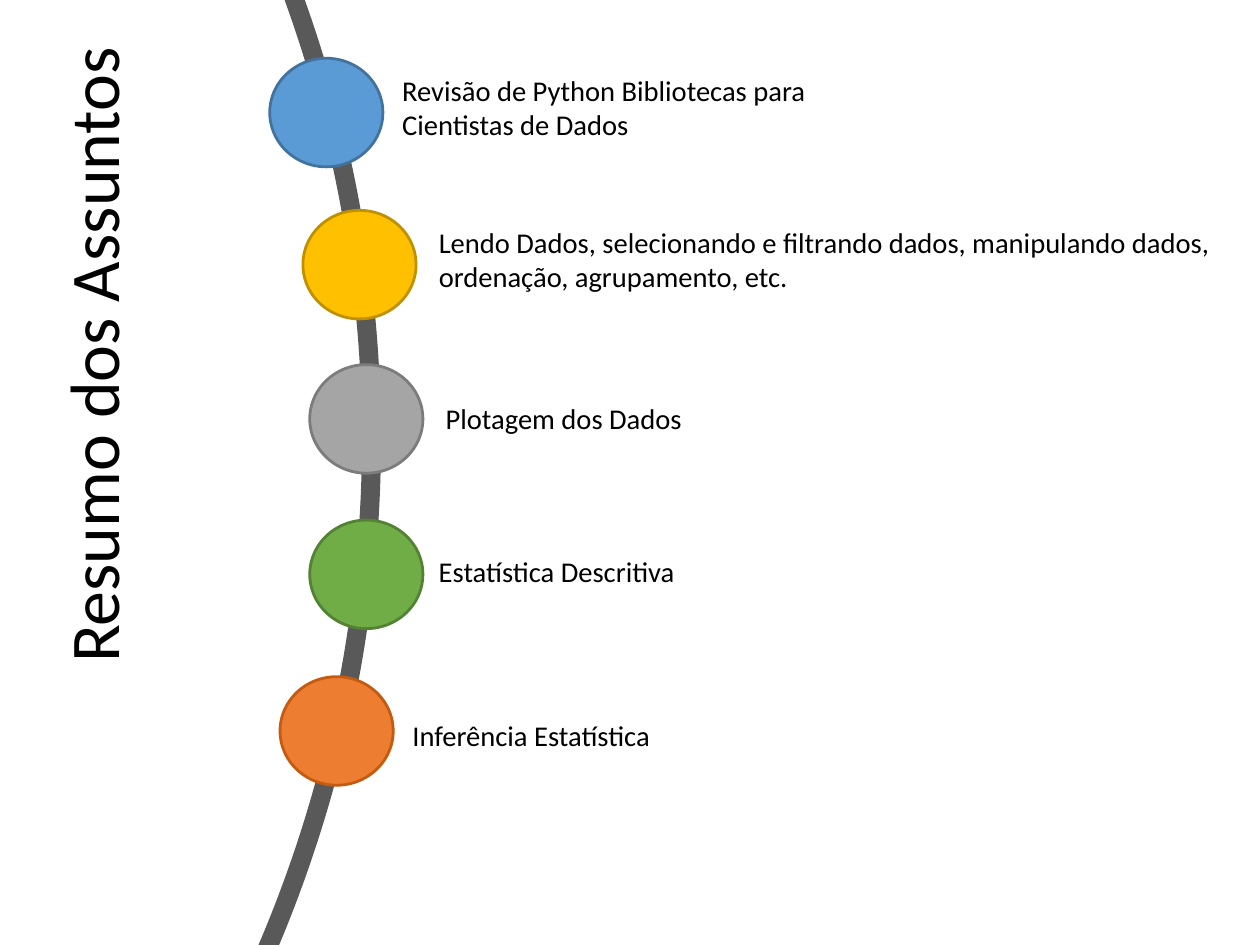
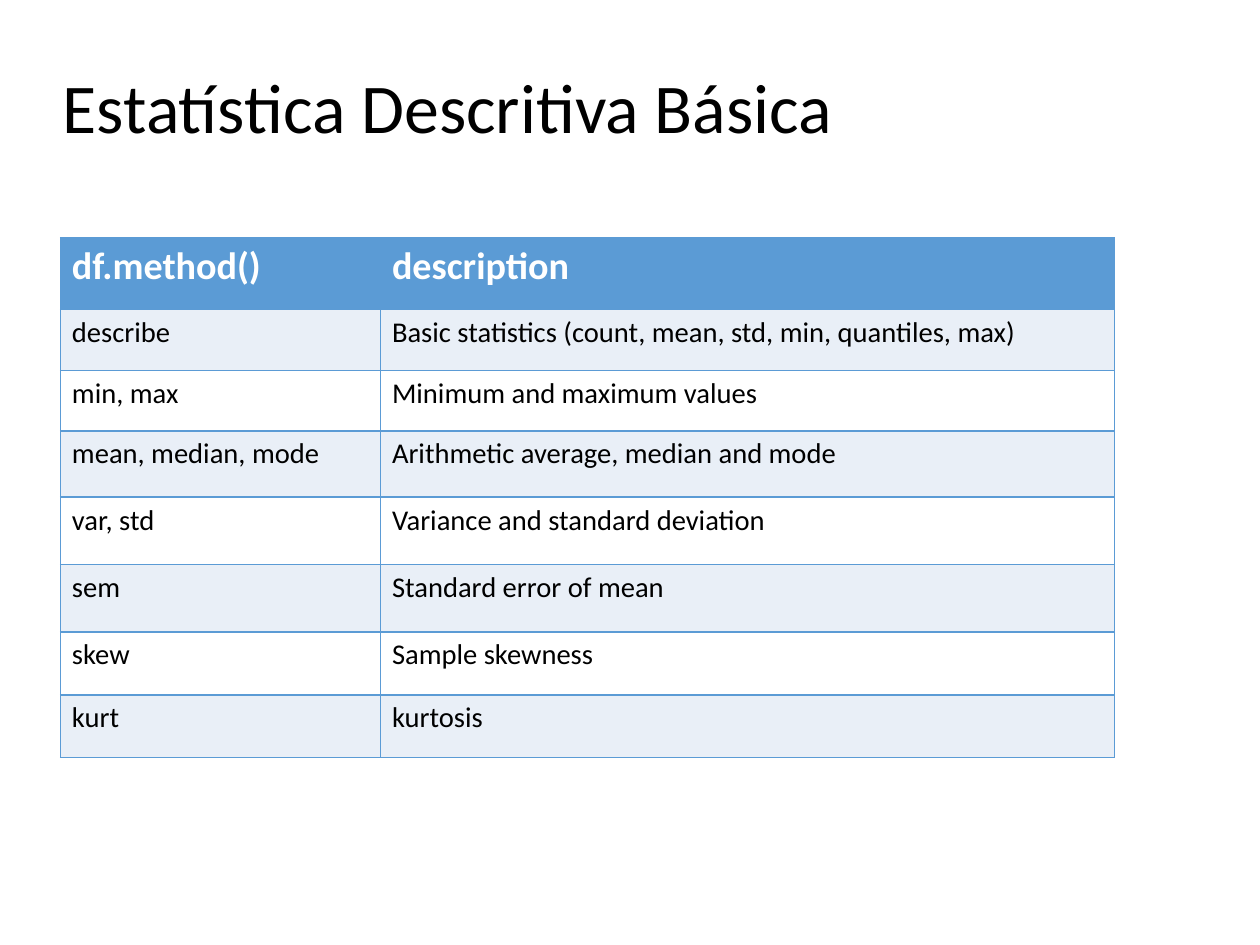
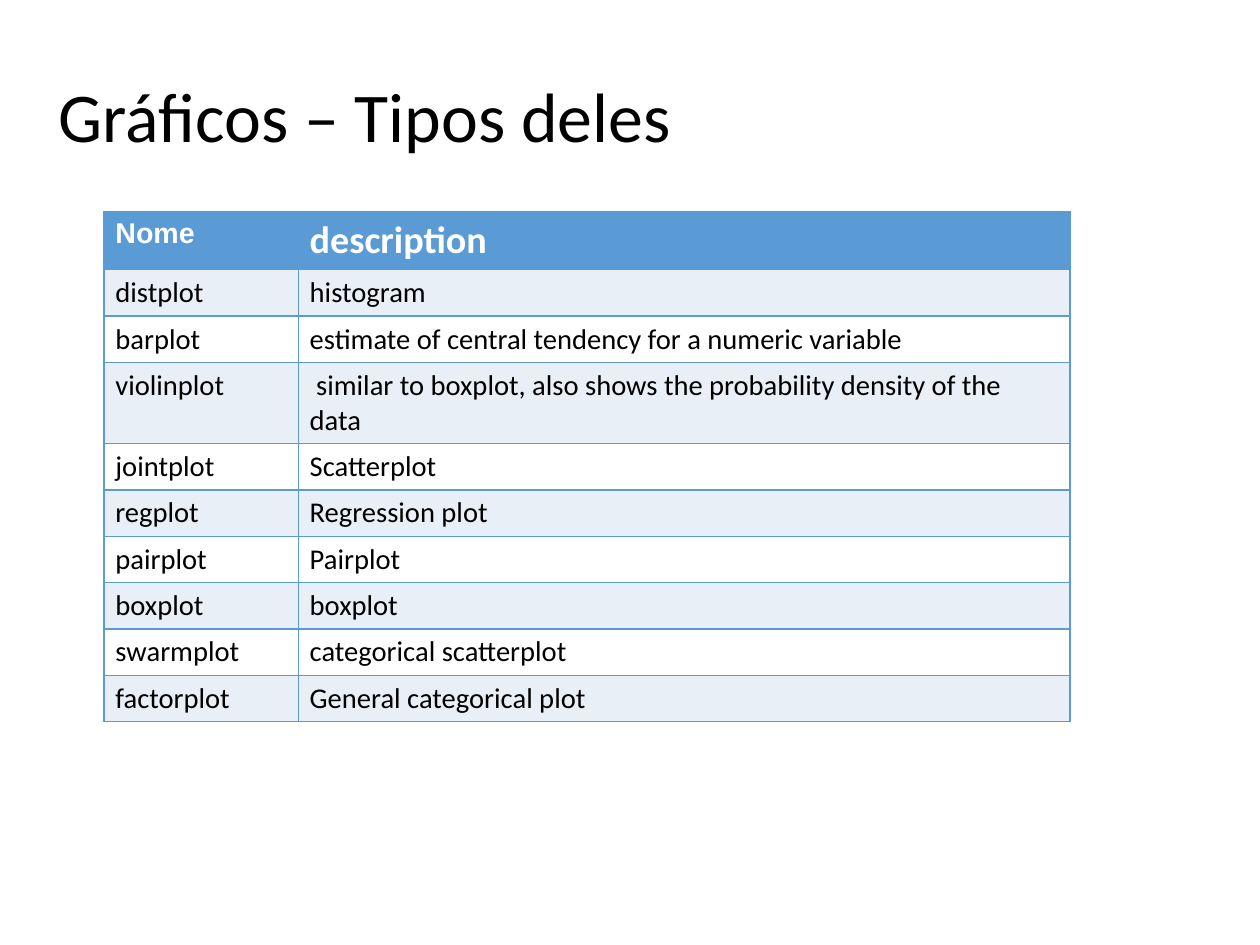
from lxml.etree import SubElement
from pptx import Presentation
from pptx.dml.color import RGBColor as RGB
from pptx.enum.shapes import MSO_SHAPE as SHAPE
from pptx.enum.text import MSO_ANCHOR as ANCHOR, MSO_AUTO_SIZE as AUTO, PP_ALIGN as ALIGN
from pptx.oxml.ns import qn
from pptx.util import Cm, Inches, Pt

BLACK, WHITE = RGB(0, 0, 0), RGB(255, 255, 255)
BLUE, BAND = RGB(0x5B, 0x9B, 0xD5), RGB(0xE9, 0xEF, 0xF7)
DARK_BLUE, RING = RGB(0x43, 0x72, 0x9D), RGB(0x59, 0x59, 0x59)
GOLD, DARK_GOLD = RGB(0xFF, 0xC0, 0x00), RGB(0xBF, 0x90, 0x00)
GRAY, DARK_GRAY = RGB(0xA5, 0xA5, 0xA5), RGB(0x7C, 0x7C, 0x7C)
GREEN, DARK_GREEN = RGB(0x70, 0xAD, 0x47), RGB(0x54, 0x82, 0x35)
ORANGE, DARK_ORANGE = RGB(0xED, 0x7D, 0x31), RGB(0xC5, 0x5A, 0x11)
FONT = "Calibri"

DOT_SIZE = (0.99, 0.95)
TOPICS = [
    ("Revisão de Python Bibliotecas para Cientistas de Dados",
     (2.36, 0.51), BLUE, DARK_BLUE, (3.42, 0.59, 4.59, 0.7)),
    ("Lendo Dados, selecionando e filtrando dados, manipulando dados, ordenação, agrupamento, etc.",
     (2.65, 1.84), GOLD, DARK_GOLD, (3.74, 1.92, 7.69, 0.7)),
    ("Plotagem dos Dados",
     (2.71, 3.19), GRAY, DARK_GRAY, (3.8, 3.46, 5.77, 0.4)),
    ("Estatística Descritiva",
     (2.71, 4.55), GREEN, DARK_GREEN, (3.74, 4.8, 5.77, 0.4)),
    ("Inferência Estatística",
     (2.45, 5.92), ORANGE, DARK_ORANGE, (3.51, 6.23, 5.77, 0.4)),
]

TABLE_SLIDES = [
    {
        "title": "Estatística Descritiva Básica",
        "title_box": (0.55, 0.64, 7.8, 1.5),
        "origin": (0.53, 2.08),
        "cols": [2.8, 6.42],
        "heights": [0.63, 0.53, 0.53, 0.58, 0.59, 0.59, 0.55, 0.55],
        "header": [("df.method()", 24, FONT), ("description", 24, FONT)],
        "rows": [
            ("describe", "Basic statistics (count, mean, std, min, quantiles, max)"),
            ("min, max", "Minimum and maximum values"),
            ("mean, median, mode", "Arithmetic average, median and mode"),
            ("var, std", "Variance and standard deviation"),
            ("sem", "Standard error of mean"),
            ("skew", "Sample skewness"),
            ("kurt", "kurtosis"),
        ],
    },
    {
        "title": "Gráficos – Tipos deles",
        "title_box": (0.51, 0.72, 8.19, 0.75),
        "origin": (0.91, 1.85),
        "cols": [1.7, 6.75],
        "heights": [0.51, 0.4, 0.4, 0.71] + [0.4] * 6,
        "header": [("Nome", 18, "Arial"), ("description", 24, FONT)],
        "rows": [
            ("distplot", "histogram"),
            ("barplot", "estimate of central tendency for a numeric variable"),
            ("violinplot", " similar to boxplot, also shows the probability density of the data"),
            ("jointplot", "Scatterplot"),
            ("regplot", "Regression plot"),
            ("pairplot", "Pairplot"),
            ("boxplot", "boxplot"),
            ("swarmplot", "categorical scatterplot"),
            ("factorplot", "General categorical plot"),
        ],
    },
]


def inches(values):
    return [Inches(v) for v in values]


def write(tf, text, size=18, color=BLACK, bold=False, font=FONT):
    p = tf.paragraphs[0]
    p.alignment = ALIGN.LEFT
    r = p.add_run()
    r.text = text
    r.font.size, r.font.name, r.font.bold = Pt(size), font, bold
    r.font.color.rgb = color
    return p


def add_titled_slide(prs, text, box, anchor=ANCHOR.TOP, margins=(0, 0), rotation=0):
    s = prs.slides.add_slide(prs.slide_layouts[5])
    title = s.shapes.title
    title.left, title.top, title.width, title.height = inches(box)
    title.rotation = rotation
    tf = title.text_frame
    tf.auto_size, tf.word_wrap, tf.vertical_anchor = AUTO.NONE, True, anchor
    tf.margin_left = tf.margin_right = Inches(margins[0])
    tf.margin_top = tf.margin_bottom = Inches(margins[1])
    write(tf, text, 44).line_spacing = 0.9
    return s


def add_circle(s, box, line, width, fill=None):
    sp = s.shapes.add_shape(SHAPE.OVAL, *inches(box))
    sp.shadow.inherit = False
    if fill is None:
        sp.fill.background()
    else:
        sp.fill.solid()
        sp.fill.fore_color.rgb = fill
    sp.line.color.rgb, sp.line.width = line, Pt(width)


def add_borders(cell):
    tc_pr = cell._tc.get_or_add_tcPr()
    for side in ("a:lnL", "a:lnR", "a:lnT", "a:lnB"):
        ln = SubElement(tc_pr, qn(side), w=str(Pt(0.96)))
        SubElement(SubElement(ln, qn("a:solidFill")), qn("a:srgbClr"), val=str(BLUE))


def fill_cell(cell, fill, text, **style):
    add_borders(cell)
    cell.fill.solid()
    cell.fill.fore_color.rgb = fill
    write(cell.text_frame, text, **style)


def add_topics_slide(prs):
    s = add_titled_slide(prs, "Resumo dos Assuntos", (-2.2, 2.13, 6.09, 1.45),
                         ANCHOR.MIDDLE, (0.1, 0.05), 270)
    add_circle(s, (-19.42, -7.49, 22.67, 22.67), RING, 12)
    for text, dot_origin, fill, line, label_box in TOPICS:
        add_circle(s, dot_origin + DOT_SIZE, line, 1.75, fill)
        tf = s.shapes.add_textbox(*inches(label_box)).text_frame
        tf.word_wrap = True
        write(tf, text)


def add_table_slide(prs, data):
    s = add_titled_slide(prs, data["title"], data["title_box"])
    cols, heights = data["cols"], data["heights"]
    size = (sum(cols), sum(heights))
    table = s.shapes.add_table(len(heights), len(cols), *inches(data["origin"] + size)).table
    for col, width in zip(table.columns, cols):
        col.width = Inches(width)
    for row, height in zip(table.rows, heights):
        row.height = Inches(height)
    for c, (text, pts, font) in enumerate(data["header"]):
        fill_cell(table.cell(0, c), BLUE, text, size=pts, color=WHITE, bold=True, font=font)
    for r, texts in enumerate(data["rows"], 1):
        for c, text in enumerate(texts):
            fill_cell(table.cell(r, c), BAND if r % 2 else WHITE, text)


def main():
    prs = Presentation()
    prs.slide_width, prs.slide_height = Cm(28), Cm(21)
    add_topics_slide(prs)
    for data in TABLE_SLIDES:
        add_table_slide(prs, data)
    prs.save("out.pptx")


if __name__ == "__main__":
    main()
